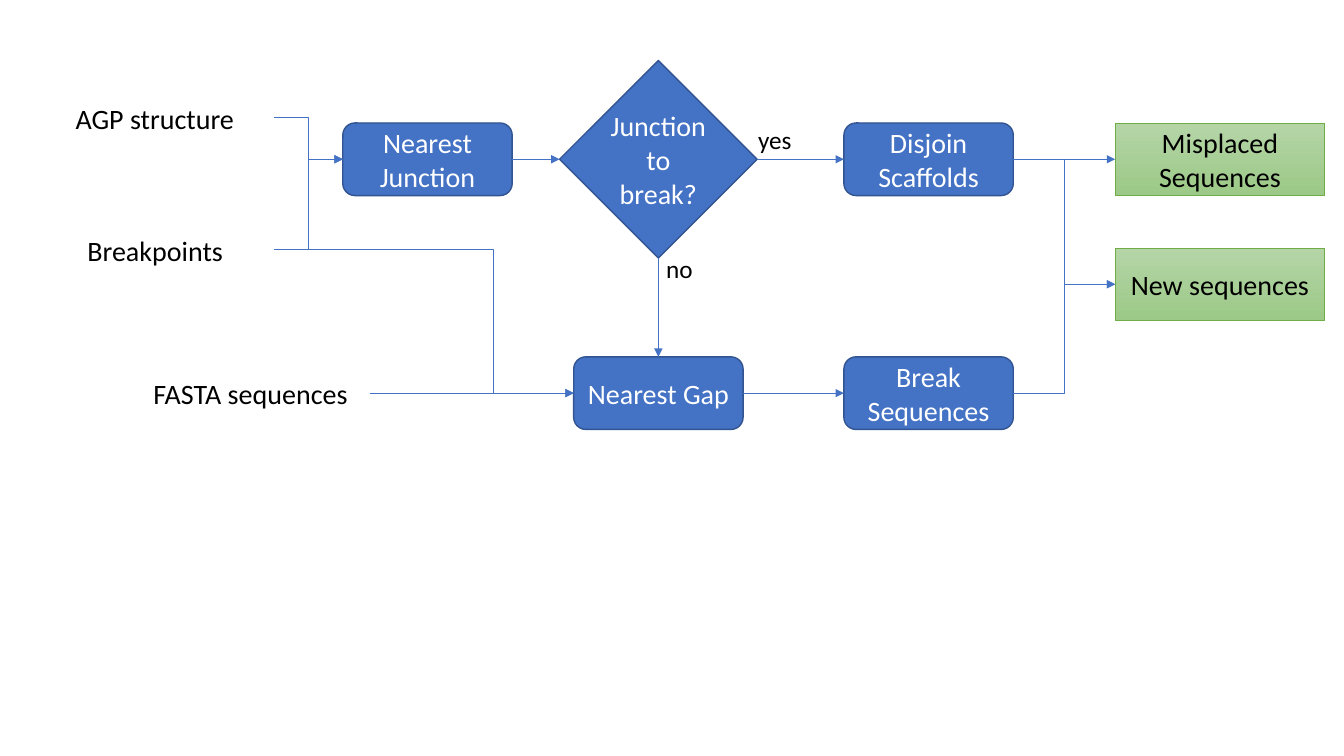
from dataclasses import dataclass

from lxml.etree import SubElement
from pptx import Presentation
from pptx.dml.color import RGBColor
from pptx.enum.shapes import MSO_CONNECTOR, MSO_SHAPE
from pptx.enum.text import MSO_ANCHOR, PP_ALIGN
from pptx.oxml.ns import qn
from pptx.shapes.autoshape import Shape
from pptx.shapes.connector import Connector
from pptx.shapes.shapetree import SlideShapes
from pptx.text.text import TextFrame
from pptx.util import Emu, Pt

PX = 9144  # 100 px to the inch
FONT = "Calibri"
BLUE = RGBColor(0x44, 0x72, 0xC4)
DARK_BLUE = RGBColor(0x32, 0x54, 0x91)
GREEN = RGBColor(0x70, 0xAD, 0x47)
GREEN_TOP = RGBColor(0xB5, 0xD5, 0xA7)
GREEN_BOTTOM = RGBColor(0x9C, 0xC9, 0x87)
WHITE = RGBColor(0xFF, 0xFF, 0xFF)
BLACK = RGBColor(0x00, 0x00, 0x00)

TOP, LEFT, BOTTOM, RIGHT = range(4)
STEP_WIDTH, OUTPUT_WIDTH, BOX_HEIGHT = 168, 208, 72
DECISION_SIZE = 196
UPPER_ROW, MIDDLE_ROW, LOWER_ROW = 122, 246, 354
UPPER_MID, MIDDLE_MID, LOWER_MID = (
    row + BOX_HEIGHT // 2 for row in (UPPER_ROW, MIDDLE_ROW, LOWER_ROW)
)
OUTPUT_LEFT = 1106
LAST_STEP_LEFT = 837
LAST_STEP_RIGHT = LAST_STEP_LEFT + STEP_WIDTH


@dataclass(frozen=True)
class Box:
    text: str
    left: int
    top: int
    width: int = STEP_WIDTH
    height: int = BOX_HEIGHT
    kind: MSO_SHAPE = MSO_SHAPE.ROUNDED_RECTANGLE
    inset: bool = True


@dataclass(frozen=True)
class Label:
    text: str
    left: int
    top: int
    width: int
    height: int = 44
    size: int = 20
    align: PP_ALIGN = PP_ALIGN.CENTER


@dataclass(frozen=True)
class Link:
    source: str
    source_side: int
    target: str
    target_side: int


@dataclass(frozen=True)
class Elbow:
    """A bent arrow; bend is the share of its width, in 1/1000, before the turn."""
    begin: tuple[int, int]
    end: tuple[int, int]
    bend: int = 500


STEPS = [
    Box("Nearest Junction", 340, UPPER_ROW),
    Box("Junction to break?", 555, UPPER_MID - DECISION_SIZE // 2,
        DECISION_SIZE, DECISION_SIZE, MSO_SHAPE.DIAMOND, inset=False),
    Box("Disjoin Scaffolds", LAST_STEP_LEFT, UPPER_ROW),
    Box("Nearest Gap", 569, LOWER_ROW),
    Box("Break Sequences", LAST_STEP_LEFT, LOWER_ROW),
]
OUTPUTS = [
    Box(text, OUTPUT_LEFT, top, OUTPUT_WIDTH, kind=MSO_SHAPE.RECTANGLE)
    for text, top in (("Misplaced Sequences", UPPER_ROW), ("New sequences", MIDDLE_ROW))
]
LABELS = [
    Label("AGP structure", 64, 96, 179),
    Label("Breakpoints", 76, 227, 156),
    Label("FASTA sequences", 141, 369, 215),
    Label("yes", 742, 118, 54, 40, 18, PP_ALIGN.LEFT),
    Label("no", 651, 246, 47, 40, 18, PP_ALIGN.LEFT),
]
LINKS = [
    Link("Nearest Junction", RIGHT, "Junction to break?", LEFT),
    Link("Junction to break?", RIGHT, "Disjoin Scaffolds", LEFT),
    Link("Junction to break?", BOTTOM, "Nearest Gap", TOP),
    Link("Nearest Gap", RIGHT, "Break Sequences", LEFT),
    Link("Disjoin Scaffolds", RIGHT, "Misplaced Sequences", LEFT),
]
BREAKPOINTS_EXIT = (272, 247)
ELBOWS = [
    Elbow((272, 116), (340, UPPER_MID)),
    Elbow(BREAKPOINTS_EXIT, (340, UPPER_MID)),
    Elbow(BREAKPOINTS_EXIT, (569, LOWER_MID), 732),
    Elbow((LAST_STEP_RIGHT, UPPER_MID), (OUTPUT_LEFT, MIDDLE_MID)),
    Elbow((LAST_STEP_RIGHT, LOWER_MID), (OUTPUT_LEFT, MIDDLE_MID)),
]
FASTA_EXIT = (367, LOWER_MID)


def px(*lengths: int) -> list[Emu]:
    return [Emu(length * PX) for length in lengths]


def write(frame: TextFrame, text: str, size: int, color: RGBColor, align: PP_ALIGN) -> None:
    paragraph = frame.paragraphs[0]
    paragraph.alignment = align
    run = paragraph.add_run()
    run.text = text
    run.font.name = FONT
    run.font.size = Pt(size)
    run.font.color.rgb = color


def add_box(shapes: SlideShapes, box: Box, color: RGBColor) -> Shape:
    shape = shapes.add_shape(box.kind, *px(box.left, box.top, box.width, box.height))
    shape.shadow.inherit = False
    frame = shape.text_frame
    frame.word_wrap = True
    frame.vertical_anchor = MSO_ANCHOR.MIDDLE
    if not box.inset:
        frame.margin_left = frame.margin_right = frame.margin_top = frame.margin_bottom = 0
    write(frame, box.text, 20, color, PP_ALIGN.CENTER)
    return shape


def add_step(shapes: SlideShapes, box: Box) -> Shape:
    shape = add_box(shapes, box, WHITE)
    shape.fill.solid()
    shape.fill.fore_color.rgb = BLUE
    shape.line.color.rgb = DARK_BLUE
    shape.line.width = Pt(1)
    return shape


def add_output(shapes: SlideShapes, box: Box) -> Shape:
    shape = add_box(shapes, box, BLACK)
    shape.fill.gradient()
    shape.fill.gradient_angle = 270
    for stop, color in zip(shape.fill.gradient_stops, (GREEN_TOP, GREEN_BOTTOM)):
        stop.color.rgb = color
    shape.line.color.rgb = GREEN
    shape.line.width = Pt(0.5)
    return shape


def add_label(shapes: SlideShapes, label: Label) -> None:
    box = shapes.add_textbox(*px(label.left, label.top, label.width, label.height))
    box.text_frame.word_wrap = False
    write(box.text_frame, label.text, label.size, BLACK, label.align)


def add_arrow(shapes: SlideShapes, kind: MSO_CONNECTOR,
              begin: tuple[int, int] = (0, 0), end: tuple[int, int] = (0, 0)) -> Connector:
    arrow = shapes.add_connector(kind, *px(*begin, *end))
    arrow.line.color.rgb = BLUE
    arrow.line.width = Pt(0.5)
    SubElement(arrow.line._get_or_add_ln(), qn("a:tailEnd"), type="triangle")
    SubElement(arrow._element.spPr, qn("a:effectLst"))
    return arrow


def add_elbow(shapes: SlideShapes, elbow: Elbow) -> None:
    arrow = add_arrow(shapes, MSO_CONNECTOR.ELBOW, elbow.begin, elbow.end)
    guides = arrow._element.spPr.prstGeom.get_or_add_avLst()
    SubElement(guides, qn("a:gd"), name="adj1", fmla=f"val {elbow.bend * 100}")


def main() -> None:
    presentation = Presentation()
    presentation.slide_width, presentation.slide_height = px(1333, 750)
    shapes = presentation.slides.add_slide(presentation.slide_layouts[6]).shapes

    nodes = {step.text: add_step(shapes, step) for step in STEPS}
    nodes |= {output.text: add_output(shapes, output) for output in OUTPUTS}
    for label in LABELS:
        add_label(shapes, label)
    for link in LINKS:
        arrow = add_arrow(shapes, MSO_CONNECTOR.STRAIGHT)
        arrow.begin_connect(nodes[link.source], link.source_side)
        arrow.end_connect(nodes[link.target], link.target_side)
    for elbow in ELBOWS:
        add_elbow(shapes, elbow)
    fasta_arrow = add_arrow(shapes, MSO_CONNECTOR.STRAIGHT, FASTA_EXIT, FASTA_EXIT)
    fasta_arrow.end_connect(nodes["Nearest Gap"], LEFT)

    presentation.save("out.pptx")


if __name__ == "__main__":
    main()
